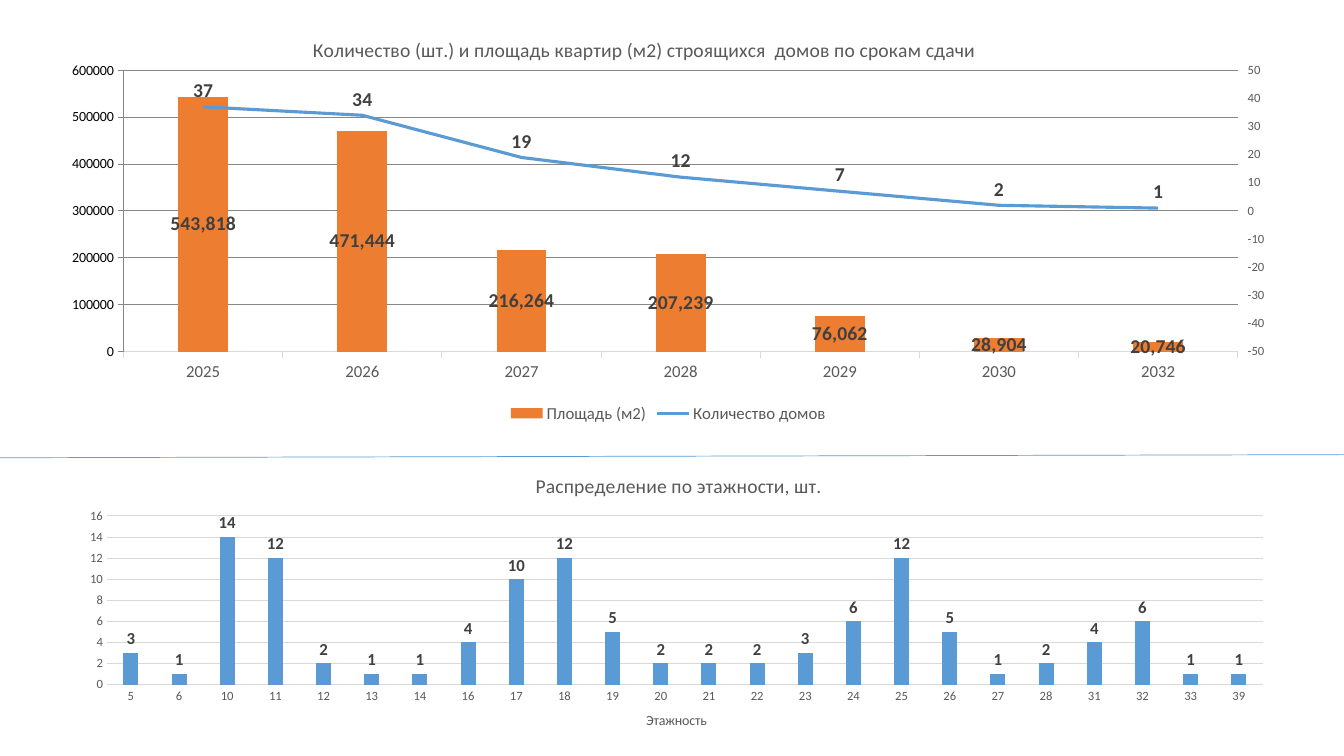
from lxml.etree import SubElement
from pptx import Presentation
from pptx.chart.axis import ValueAxis
from pptx.chart.data import CategoryChartData
from pptx.dml.color import RGBColor
from pptx.enum.chart import (XL_CHART_TYPE, XL_LABEL_POSITION, XL_LEGEND_POSITION,
                             XL_MARKER_STYLE, XL_TICK_MARK)
from pptx.enum.shapes import MSO_CONNECTOR
from pptx.oxml import parse_xml
from pptx.oxml.ns import nsdecls, qn
from pptx.util import Emu, Pt

BLUE, ORANGE = "5B9BD5", "ED7D31"
GREY, DARK, PALE = "595959", "404040", "D9D9D9"

TERMS = ["2025", "2026", "2027", "2028", "2029", "2030", "2032"]
AREAS = [543818, 471444, 216264, 207239, 76062, 28904, 20746]
HOUSES = [37, 34, 19, 12, 7, 2, 1]
FLOORS = {5: 3, 6: 1, 10: 14, 11: 12, 12: 2, 13: 1, 14: 1, 16: 4, 17: 10,
          18: 12, 19: 5, 20: 2, 21: 2, 22: 2, 23: 3, 24: 6, 25: 12, 26: 5,
          27: 1, 28: 2, 31: 4, 32: 6, 33: 1, 39: 1}


def px(n):
    return Emu(n * 9525)


def color(code):
    return RGBColor.from_string(code)


def style(font, size, code, bold=False):
    font.name, font.size, font.bold = "Calibri", Pt(size), bold
    font.color.rgb = color(code)


def stroke(line, code, width):
    line.color.rgb = color(code)
    line.width = Pt(width)


def write(frame, text, size):
    run = frame.paragraphs[0].add_run()
    run.text = text
    style(run.font, size, GREY)


def place(host, index, **parts):
    """Set a manual layout, in shares of the chart, on a chart part."""
    for old in host.findall(qn("c:layout")):
        host.remove(old)
    layout = parse_xml(f"<c:layout {nsdecls('c')}/>")
    host.insert(index, layout)
    manual = SubElement(layout, qn("c:manualLayout"))
    if "w" in parts:
        SubElement(manual, qn("c:layoutTarget")).set("val", "inner")
    for side in "xy":
        SubElement(manual, qn(f"c:{side}Mode")).set("val", "edge")
    for key, share in parts.items():
        SubElement(manual, qn(f"c:{key}")).set("val", str(share))


def scale(axis, low, high, step, mark, form):
    axis.minimum_scale, axis.maximum_scale, axis.major_unit = low, high, step
    axis.major_tick_mark = mark
    axis.has_major_gridlines = False
    axis.format.line.fill.background()
    style(axis.tick_labels.font, 9, GREY)
    axis.tick_labels.number_format = form
    axis.tick_labels.number_format_is_linked = False


def label(series, size, spot, form):
    labels = series.data_labels
    labels.show_value = True
    labels.position = spot
    labels.number_format = form
    labels.number_format_is_linked = False
    style(labels.font, size, DARK, True)


def columns(slide, box, title, cats, rows, fill, mark, size):
    """Add a column chart with the look that both charts share."""
    data = CategoryChartData()
    data.categories = cats
    for name, values in rows:
        data.add_series(name, values)
    chart = slide.shapes.add_chart(
        XL_CHART_TYPE.COLUMN_CLUSTERED, *map(px, box), data).chart
    style(chart.font, 10, "000000")
    chart.has_legend = False
    chart.has_title = True
    write(chart.chart_title.text_frame, title, 14)
    plot = chart.plots[0]
    plot.gap_width, plot.vary_by_categories = 219, False
    bars = plot.series[0].format.fill
    bars.solid()
    bars.fore_color.rgb = color(fill)
    axis = chart.category_axis
    axis.major_tick_mark = mark
    axis.has_major_gridlines = False
    stroke(axis.format.line, PALE, 0.75)
    style(axis.tick_labels.font, size, GREY)
    return chart


def split(chart):
    """Move the second series to a line on a right-hand axis."""
    bars = chart.plots[0]._element
    area = bars.getparent()
    row = chart.plots[0].series[1]._element
    for flag in row.findall(qn("c:invertIfNegative")):
        row.remove(flag)
    line = parse_xml(
        f'<c:lineChart {nsdecls("c")}><c:grouping val="standard"/>'
        '<c:varyColors val="0"/><c:marker val="1"/>'
        '<c:axId val="501"/><c:axId val="502"/></c:lineChart>')
    line.insert(2, row)
    bars.addnext(line)
    axes = {}
    for tag, own, other, side, gone, cross in (
            ("valAx", 502, 501, "r", 0, "max"), ("catAx", 501, 502, "b", 1, "autoZero")):
        axes[tag] = parse_xml(
            f'<c:{tag} {nsdecls("c")}><c:axId val="{own}"/>'
            '<c:scaling><c:orientation val="minMax"/></c:scaling>'
            f'<c:delete val="{gone}"/><c:axPos val="{side}"/>'
            '<c:majorTickMark val="out"/><c:minorTickMark val="none"/>'
            f'<c:tickLblPos val="nextTo"/><c:crossAx val="{other}"/>'
            f'<c:crosses val="{cross}"/></c:{tag}>')
        area.findall(qn("c:valAx"))[-1].addnext(axes[tag])
    return ValueAxis(axes["valAx"])


def terms(slide, box):
    """Area and number of houses by completion year."""
    out = XL_TICK_MARK.OUTSIDE
    chart = columns(
        slide, box, "Количество (шт.) и площадь квартир (м2) строящихся  домов по срокам сдачи",
        TERMS, [("Площадь (м2)", AREAS), ("Количество домов", HOUSES)], ORANGE, out, 12)
    right = split(chart)
    scale(chart.value_axis, 0, 600000, 100000, out, "#,##0")
    scale(right, -50, 50, 10, out, "General")
    bars, line = (plot.series[0] for plot in chart.plots)
    label(bars, 14, XL_LABEL_POSITION.CENTER, "#,##0")
    label(line, 14, XL_LABEL_POSITION.ABOVE, "General")
    stroke(line.format.line, BLUE, 2.25)
    line.smooth = False
    line.marker.style = XL_MARKER_STYLE.NONE
    chart.has_legend = True
    chart.legend.position = XL_LEGEND_POSITION.BOTTOM
    chart.legend.include_in_layout = False
    style(chart.legend.font, 12, GREY)
    place(chart.chart_title._element, 1, x=0.21, y=0.06)
    place(chart.plots[0]._element.getparent(), 0, x=0.06, y=0.15, w=0.9, h=0.67)


def floors(slide, box):
    """Number of houses by floor count."""
    none = XL_TICK_MARK.NONE
    chart = columns(slide, box, "Распределение по этажности, шт.", list(map(str, FLOORS)),
                    [("Series 1", FLOORS.values())], BLUE, none, 9)
    scale(chart.value_axis, 0, 16, 2, none, "General")
    chart.value_axis.has_major_gridlines = True
    stroke(chart.value_axis.major_gridlines.format.line, PALE, 0.75)
    plot = chart.plots[0]
    plot.overlap = -27
    label(plot.series[0], 12, XL_LABEL_POSITION.OUTSIDE_END, "General")
    write(chart.category_axis.axis_title.text_frame, "Этажность", 10)
    place(plot._element.getparent(), 0, x=0.03, y=0.2, w=0.95, h=0.58)


def divide(slide, left, start, right, end):
    """Thin line between the two charts."""
    line = slide.shapes.add_connector(
        MSO_CONNECTOR.STRAIGHT, *map(px, (left, start, right, end)))
    stroke(line.line, BLUE, 0.5)
    SubElement(line._element.spPr, qn("a:effectLst"))


def main():
    deck = Presentation()
    deck.slide_width, deck.slide_height = px(1280), px(720)
    slide = deck.slides.add_slide(deck.slide_layouts[6])
    divide(slide, 0, 436, 1280, 433)
    terms(slide, (47, 7, 1179, 400))
    floors(slide, (67, 436, 1159, 277))
    deck.save("out.pptx")


if __name__ == "__main__":
    main()
